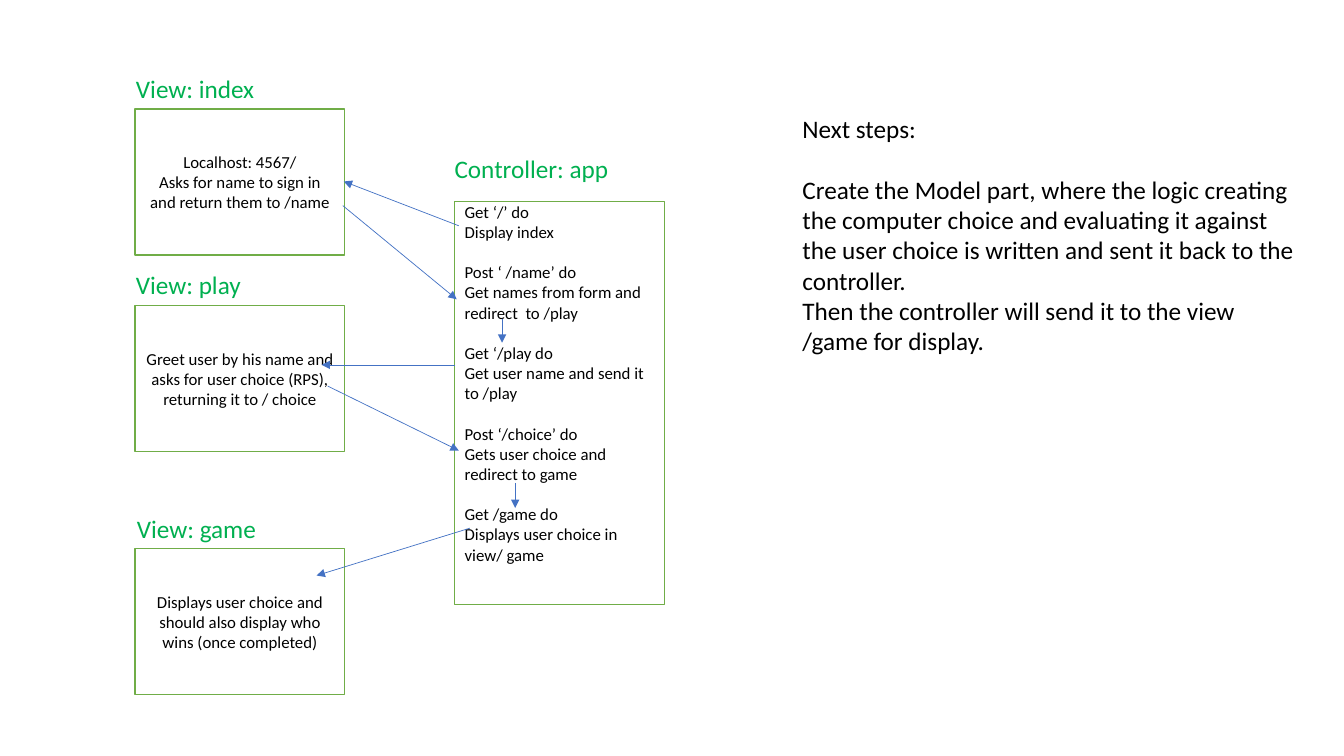
from pptx import Presentation
from pptx.dml.color import RGBColor
from pptx.enum import shapes, text
from pptx.oxml import ns
from pptx.util import Inches, Pt
from lxml import etree

VIEWS = [
    ("View: index", (1.25, 0.68, 1.39), 1.08,
     ["Localhost: 4567/", "Asks for name to sign in and return them to /name"]),
    ("View: play", (1.25, 2.62, 1.26), 3.03,
     ["Greet user by his name and asks for user choice (RPS), returning it to / choice"]),
    ("View: game", (1.26, 5.04, 1.4), 5.44,
     ["Displays user choice and should also display who wins (once completed)"]),
]
ROUTES = [
    ("Get ‘/’ do", "Display index"),
    ("Post ‘ /name’ do", "Get names from form and redirect  to /play"),
    ("Get ‘/play do", "Get user name and send it to /play"),
    ("Post ‘/choice’ do", "Gets user choice and redirect to game"),
    ("Get /game do", "Displays user choice in view/ game"),
]
NOTES = [
    "Next steps:",
    "Create the Model part, where the logic creating the computer choice and "
    "evaluating it against the user choice is written and sent it back to the controller.",
    "Then the controller will send it to the view /game for display.",
]
ARROWS = [
    (4.55, 2.24, 3.41, 1.8),
    (3.4, 2.04, 4.53, 2.97),
    (4.51, 3.62, 3.19, 3.62),
    (4.98, 3.16, 4.98, 3.4),
    (3.25, 3.83, 4.55, 4.47),
    (5.11, 4.79, 5.11, 5.04),
    (4.66, 5.24, 3.14, 5.71),
]
BLACK, WHITE, GREEN, EDGE, BLUE = "000000", "FFFFFF", "00B050", "70AD47", "4472C4"
LEFT, WIDE, HIGH = 1.34, 2.08, 1.45

deck = Presentation()
deck.slide_width, deck.slide_height = Inches(13.33), Inches(7.5)
slide = deck.slides.add_slide(deck.slide_layouts[6])


def paint(target, shade):
    if hasattr(target, "solid"):
        target.solid()
        target = target.fore_color
    target.rgb = RGBColor.from_string(shade)


def write(shape, lines, size, shade, align=text.PP_ALIGN.LEFT, gaps=()):
    frame = shape.text_frame
    frame.text = "\n".join(lines)
    for i, para in enumerate(frame.paragraphs):
        para.alignment = align
        para.font.name = "Calibri"
        para.font.size = Pt(size)
        paint(para.font.color, shade)
        if i in gaps:
            para.space_before = Pt(size * 1.2)
    return frame


def label(words, left, top, width):
    box = slide.shapes.add_textbox(*map(Inches, (left, top, width, 0.4)))
    write(box, [words], 18, GREEN).word_wrap = False


def panel(left, top, width, height):
    box = slide.shapes.add_shape(
        shapes.MSO_SHAPE.RECTANGLE, *map(Inches, (left, top, width, height)))
    box.shadow.inherit = False
    paint(box.fill, WHITE)
    paint(box.line.fill, EDGE)
    box.line.width = Pt(1)
    return box


def arrow(*ends):
    line = slide.shapes.add_connector(
        shapes.MSO_CONNECTOR.STRAIGHT, *map(Inches, ends))
    paint(line.line.fill, BLUE)
    line.line.width = Pt(0.5)
    etree.SubElement(line.line._get_or_add_ln(), ns.qn("a:tailEnd"), type="triangle")
    etree.SubElement(line._element.spPr, ns.qn("a:effectLst"))


for name, spot, top, lines in VIEWS:
    box = panel(LEFT, top, WIDE, HIGH)
    frame = write(box, lines, 12, BLACK, text.PP_ALIGN.CENTER)
    frame.vertical_anchor = text.MSO_ANCHOR.MIDDLE
    label(name, *spot)

label("Controller: app", 4.41, 1.47, 1.75)
box = panel(4.51, 2, WIDE, 4)
lines = [line for route in ROUTES for line in route]
frame = write(box, lines, 12, BLACK, gaps=range(2, len(lines), 2))
frame.vertical_anchor = text.MSO_ANCHOR.TOP
frame.margin_top = 0

for ends in ARROWS:
    arrow(*ends)

box = slide.shapes.add_textbox(*map(Inches, (7.86, 1.08, 5.09, 3.13)))
write(box, NOTES, 18, BLACK, gaps=[1]).word_wrap = True

deck.save("out.pptx")
